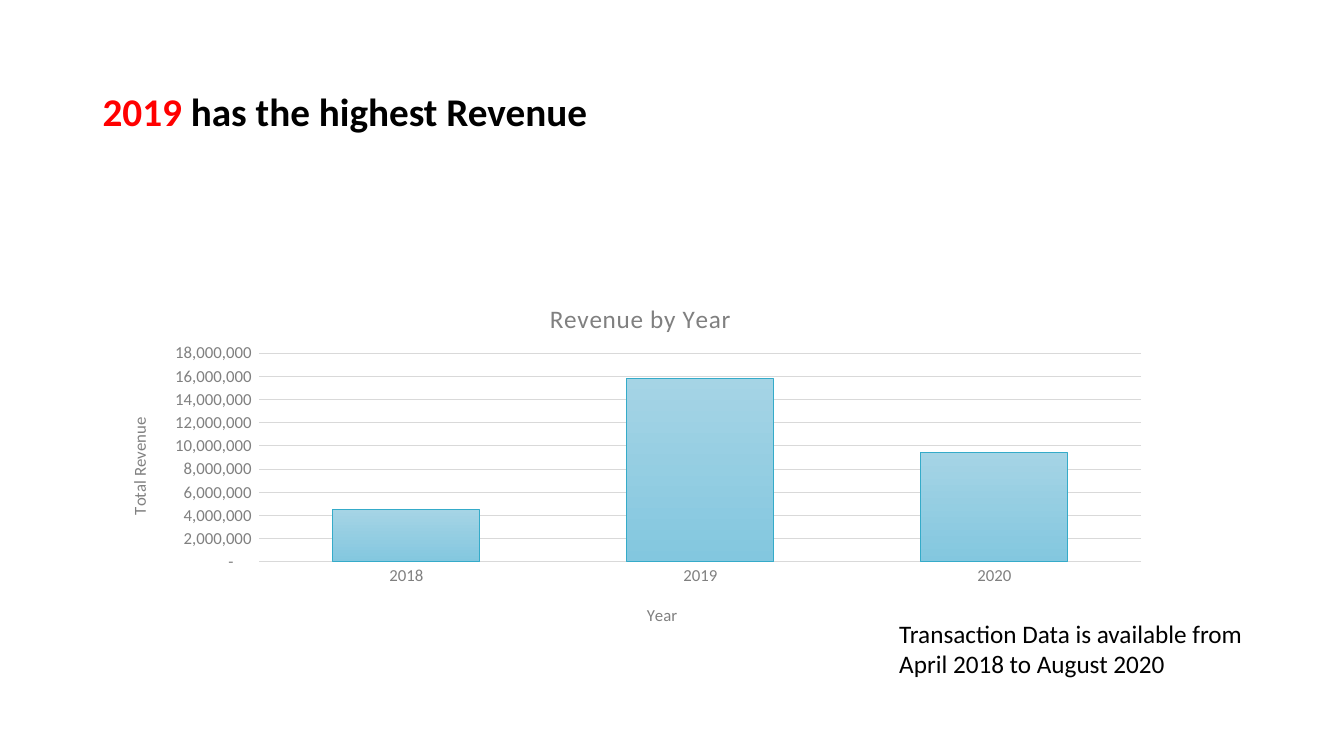
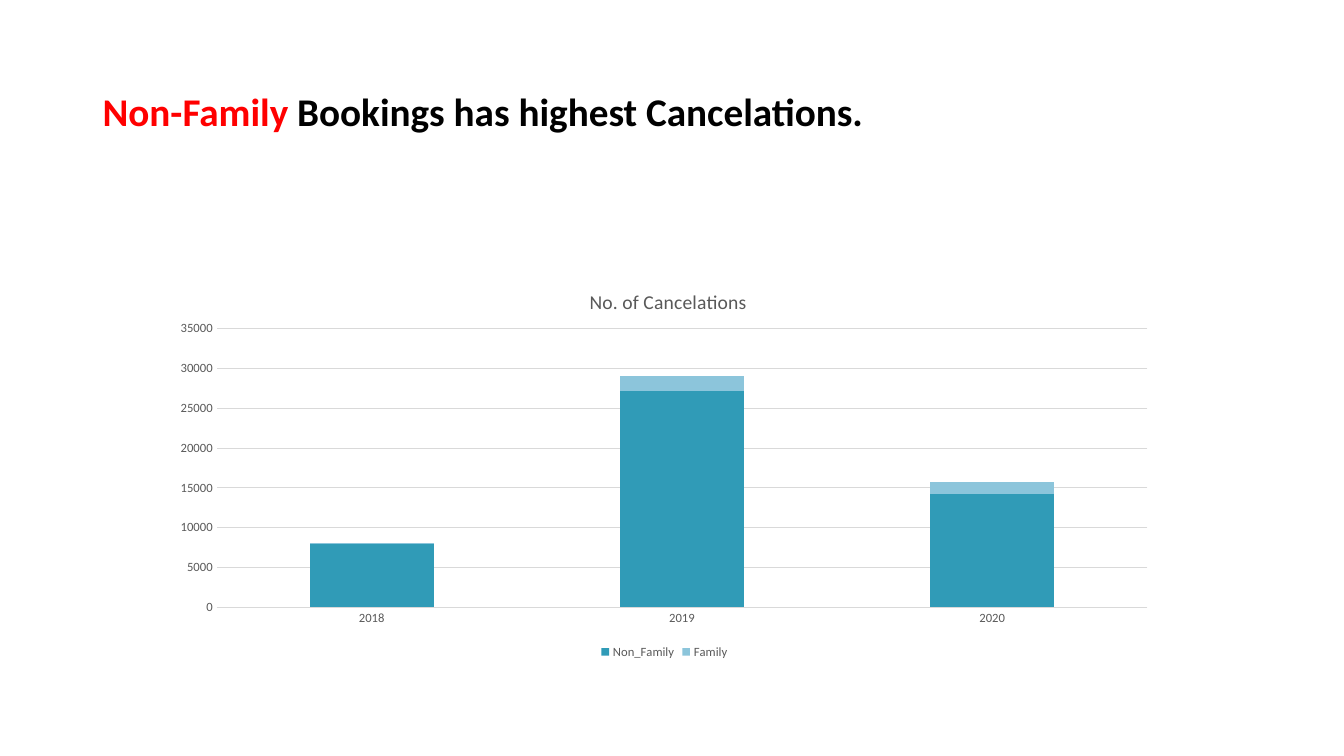
from lxml import etree
from pptx import Presentation
from pptx.chart.data import CategoryChartData
from pptx.dml.color import RGBColor
from pptx.enum.chart import XL_CHART_TYPE, XL_LEGEND_POSITION, XL_TICK_MARK
from pptx.enum.text import MSO_ANCHOR, PP_ALIGN
from pptx.oxml.ns import qn
from pptx.util import Inches, Pt

CLUSTERED = XL_CHART_TYPE.COLUMN_CLUSTERED
STACKED = XL_CHART_TYPE.COLUMN_STACKED
BOTTOM = XL_LEGEND_POSITION.BOTTOM
NO_TICK = XL_TICK_MARK.NONE
TOP, MIDDLE = MSO_ANCHOR.TOP, MSO_ANCHOR.MIDDLE
LEFT, JUSTIFY = PP_ALIGN.LEFT, PP_ALIGN.JUSTIFY

FONT = "Calibri"
BLACK, RED = "000000", "FF0000"
GREY, DARK_GREY, GRID = "808080", "595959", "D9D9D9"
TEAL, PALE_TEAL, EDGE_TEAL = "309BB7", "8CC5DB", "35ABC9"
GRADIENT = ("A5D4E5", "83C7DF")
YEARS = ("2018", "2019", "2020")
ACCOUNTING = '_ * #,##0_ ;_ * \\-#,##0_ ;_ * "-"??_ ;_ '


def rgb(value):
    return RGBColor.from_string(value)


def style_font(font, size, color, bold=False):
    font.name, font.size, font.bold = FONT, Pt(size), bold
    font.color.rgb = rgb(color)


def add_text(slide, runs, box, size=18, bold=False, align=LEFT, anchor=TOP,
             line_spacing=1.0):
    """Add one paragraph made of (text, color) runs."""
    frame = slide.shapes.add_textbox(*map(Inches, box)).text_frame
    frame.word_wrap = True
    frame.vertical_anchor = anchor
    paragraph = frame.paragraphs[0]
    paragraph.alignment = align
    paragraph.line_spacing = line_spacing
    for text, color in runs:
        run = paragraph.add_run()
        run.text = text
        style_font(run.font, size, color, bold)


def add_headline(slide, highlight, rest):
    add_text(slide, [(highlight, RED), (rest, BLACK)], (0.92, 0.4, 11.5, 1.45),
             size=28, bold=True, align=JUSTIFY, anchor=MIDDLE, line_spacing=0.9)


def set_layout(parent, after, **fractions):
    """Place a chart part by fractions of the chart area."""
    for old in parent.findall(qn("c:layout")):
        parent.remove(old)
    layout = etree.Element(qn("c:layout"))
    manual = etree.SubElement(layout, qn("c:manualLayout"))
    if "w" in fractions:
        etree.SubElement(manual, qn("c:layoutTarget"), val="inner")
    for mode in ("xMode", "yMode"):
        etree.SubElement(manual, qn(f"c:{mode}"), val="edge")
    for key, value in fractions.items():
        etree.SubElement(manual, qn(f"c:{key}"), val=str(value))
    if after is None:
        parent.insert(0, layout)
    else:
        after.addnext(layout)


def style_title(title, text, size, color, x, y, spacing=0):
    """Write and place a chart title or an axis title."""
    run = title.text_frame.paragraphs[0].add_run()
    run.text = text
    style_font(run.font, size, color)
    if spacing:
        run.font._element.set("spc", str(spacing))
    element = title._element
    set_layout(element, element.find(qn("c:tx")), x=x, y=y)


def style_axes(chart, size, color, number_format):
    for axis in (chart.category_axis, chart.value_axis):
        axis.major_tick_mark = axis.minor_tick_mark = NO_TICK
        style_font(axis.tick_labels.font, size, color)
    values = chart.value_axis
    values.tick_labels.number_format = number_format
    values.tick_labels.number_format_is_linked = False
    values.format.line.fill.background()
    values.has_major_gridlines = True
    for line in (values.major_gridlines.format.line,
                 chart.category_axis.format.line):
        line.color.rgb = rgb(GRID)
        line.width = Pt(0.75)


def add_column_chart(slide, kind, box, series, plot_area, gap, overlap,
                     axis_size, color, number_format="General"):
    data = CategoryChartData()
    data.categories = YEARS
    for name, values in series.items():
        data.add_series(name, values)
    chart = slide.shapes.add_chart(kind, *map(Inches, box), data).chart
    style_font(chart.font, 10, BLACK)
    chart.has_title = True
    chart.has_legend = False
    plot = chart.plots[0]
    plot.gap_width, plot.overlap = gap, overlap
    plot.vary_by_categories = False
    style_axes(chart, axis_size, color, number_format)
    x, y, w, h = plot_area
    set_layout(chart._chartSpace.chart.plotArea, None, x=x, y=y, w=w, h=h)
    return chart


def build_revenue(slide):
    add_headline(slide, "2019", " has the highest Revenue")
    chart = add_column_chart(
        slide, CLUSTERED, (1.03, 2.73, 10.5, 3.63),
        {"Series 1": (4500000, 15800000, 9400000)},
        plot_area=(0.147, 0.213, 0.833, 0.571), gap=100, overlap=-24,
        axis_size=12, color=GREY, number_format=ACCOUNTING)
    style_title(chart.chart_title, "Revenue by Year", 18, GREY, 0.417, 0.06,
                spacing=50)
    style_title(chart.category_axis.axis_title, "Year", 12, GREY, 0.51, 0.89)
    style_title(chart.value_axis.axis_title, "Total Revenue", 12, GREY,
                0.02, 0.38)
    # Gradient columns, light at the top
    columns = chart.plots[0].series[0].format
    columns.fill.gradient()
    columns.fill.gradient_angle = 270
    for stop, color in zip(columns.fill.gradient_stops, GRADIENT):
        stop.color.rgb = rgb(color)
    columns.line.color.rgb = rgb(EDGE_TEAL)
    columns.line.width = Pt(0.75)
    # Data range note
    add_text(slide, [("Transaction Data is available from April 2018 to "
                      "August 2020", BLACK)], (8.82, 6.08, 3.91, 1.01))


def build_cancelations(slide):
    add_headline(slide, "Non-Family ", "Bookings has highest Cancelations.")
    chart = add_column_chart(
        slide, STACKED, (1.6, 2.63, 9.98, 3.95),
        {"Non_Family": (7900, 27200, 14300), "Family": (200, 1800, 1500)},
        plot_area=(0.055, 0.16, 0.925, 0.7), gap=150, overlap=100,
        axis_size=9, color=DARK_GREY)
    style_title(chart.chart_title, "No. of Cancelations", 14, DARK_GREY,
                0.422, 0.05)
    for series, color in zip(chart.plots[0].series, (TEAL, PALE_TEAL)):
        series.format.fill.solid()
        series.format.fill.fore_color.rgb = rgb(color)
    chart.has_legend = True
    chart.legend.position = BOTTOM
    chart.legend.include_in_layout = False
    style_font(chart.legend.font, 9, DARK_GREY)


def main():
    deck = Presentation()
    deck.slide_width, deck.slide_height = Inches(13.33), Inches(7.5)
    for build in (build_revenue, build_cancelations):
        build(deck.slides.add_slide(deck.slide_layouts[6]))
    deck.save("out.pptx")


if __name__ == "__main__":
    main()
